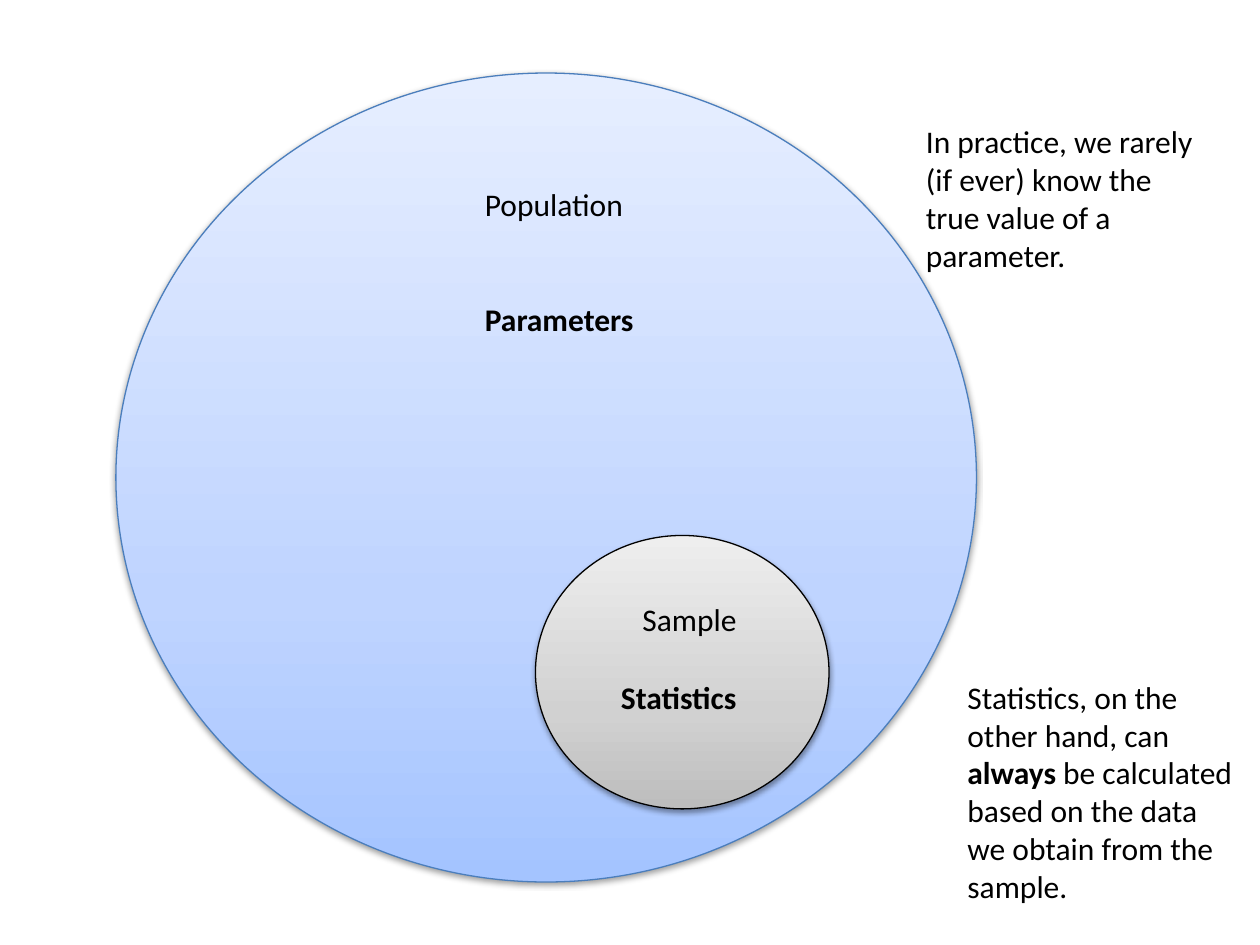
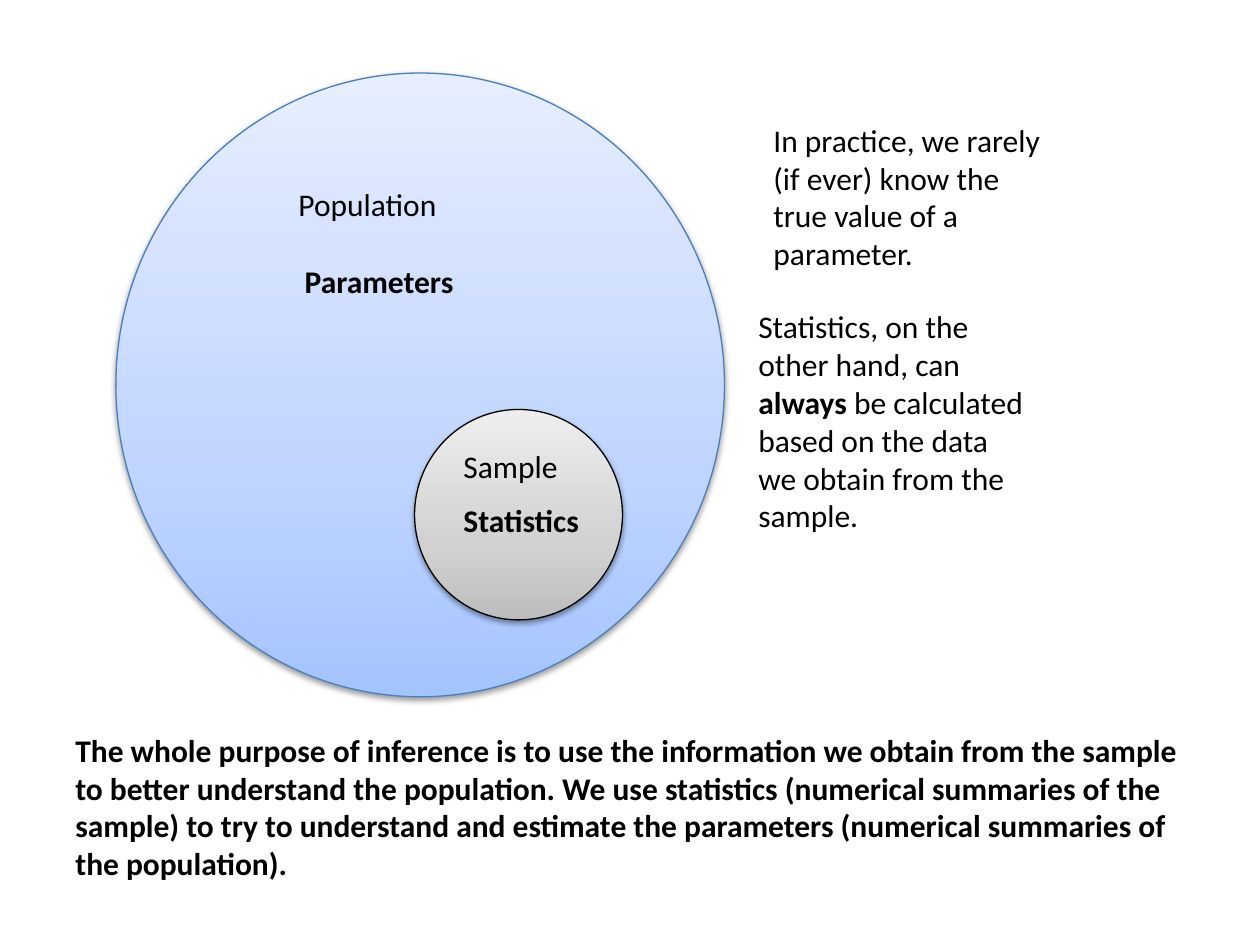
from dataclasses import dataclass

from lxml import etree
from pptx import Presentation
from pptx.dml.color import RGBColor as Rgb
from pptx.enum.shapes import MSO_SHAPE as Shape
from pptx.enum.text import MSO_AUTO_SIZE as Fit
from pptx.util import Inches, Pt

NS = "http://schemas.openxmlformats.org/drawingml/2006/main"


@dataclass(frozen=True)
class Theme:
    font: str = "Calibri"
    size: int = 18
    ink: str = "000000"
    edge: float = 0.75
    # Gradient stops run from the foot of the shape to its top
    blue: tuple = ((0, "A4C4FF"), (35, "BFD4FF"), (100, "E6EEFF"))
    blue_line: str = "4B7EBC"
    gray: tuple = ((0, "BDBDBD"), (35, "D1D1D1"), (100, "EEEEEE"))


T = Theme()

RARELY = [("In practice, we rarely (if ever) know the true value of a parameter.", False)]
ALWAYS = [
    ("Statistics, on the other hand, can ", False),
    ("always", True),
    (" be calculated based on the data we obtain from the sample.", False),
]
PURPOSE = [(
    "The whole purpose of inference is to use the information we obtain from the "
    "sample to better understand the population. We use statistics (numerical "
    "summaries of the sample) to try to understand and estimate the parameters "
    "(numerical summaries of the population).", True)]


def inside(box, part):
    """Turn a part's place within a box into a place on the slide."""
    return (box[0] + part[0], box[1] + part[1], *part[2:])


def add_text(slide, box, runs):
    frame = slide.shapes.add_textbox(*map(Inches, box)).text_frame
    for key, value in {"word_wrap": True, "auto_size": Fit.SHAPE_TO_FIT_TEXT}.items():
        setattr(frame, key, value)
    para = frame.paragraphs[0]
    for words, bold in runs:
        run = para.add_run()
        run.text = words
        for key, value in {"name": T.font, "size": Pt(T.size), "bold": bold}.items():
            setattr(run.font, key, value)
        run.font.color.rgb = Rgb.from_string(T.ink)


def add_disc(slide, box, stops, edge):
    disc = slide.shapes.add_shape(Shape.OVAL, *map(Inches, box))
    props = disc.element.spPr
    # Vertical gradient
    marks = "".join(f'<a:gs pos="{at * 1000}"><a:srgbClr val="{tone}"/></a:gs>'
                    for at, tone in stops)
    props.append(etree.fromstring(
        f'<a:gradFill xmlns:a="{NS}" rotWithShape="1"><a:gsLst>{marks}</a:gsLst>'
        '<a:lin ang="16200000" scaled="0"/></a:gradFill>'))
    disc.line.color.rgb = Rgb.from_string(edge)
    disc.line.width = Pt(T.edge)
    # Soft shadow below
    props.append(etree.fromstring(
        f'<a:effectLst xmlns:a="{NS}"><a:outerShdw blurRad="{Pt(3.1)}" '
        f'dist="{Pt(1.6)}" dir="5400000" rotWithShape="0"><a:srgbClr val="{T.ink}">'
        '<a:alpha val="38000"/></a:srgbClr></a:outerShdw></a:effectLst>'))


def add_group(slide, box, tones, labels):
    """A disc with its plain name and the bold name of its measures."""
    add_disc(slide, box, *tones)
    for word, (part, bold) in labels.items():
        add_text(slide, inside(box, part), [(word, bold)])


def add_scene(deck, whole, names, sample, marks, notes):
    """A population disc that holds a sample disc, with notes around it."""
    slide = deck.slides.add_slide(deck.slide_layouts[6])
    # Population
    add_group(slide, whole, (T.blue, T.blue_line), {
        "Population": (names[0], False), "Parameters": (names[1], True)})
    # Sample
    add_group(slide, inside(whole, sample), (T.gray, T.ink), {
        "Sample": (marks[0], False), "Statistics": (marks[1], True)})
    # Notes
    for box, runs in notes:
        add_text(slide, box, runs)


def main():
    deck = Presentation()
    for key, value in {"slide_width": 10, "slide_height": 7.5}.items():
        setattr(deck, key, Inches(value))

    # Parameters and statistics
    add_scene(
        deck, whole=(0.92, 0.58, 6.83, 6.42),
        names=[(2.83, 0.84, 1.5, 0.4), (2.83, 1.75, 1.5, 0.4)],
        sample=(3.33, 3.67, 2.33, 2.17),
        marks=[(0.75, 0.46, 1, 0.4), (0.58, 1.08, 1.5, 0.4)],
        notes=[((7.25, 0.92, 2.42, 1.31), RARELY),
               ((7.58, 5.33, 2.33, 1.92), ALWAYS)])

    # Purpose of inference
    add_scene(
        deck, whole=(0.92, 0.58, 4.83, 4.95),
        names=[(1.35, 0.84, 2.14, 0.4), (1.4, 1.45, 1.83, 0.4)],
        sample=(2.37, 2.67, 1.65, 1.67),
        marks=[(0.29, 0.25, 1.41, 0.4), (0.29, 0.68, 1.36, 0.4)],
        notes=[((6.04, 0.91, 2.42, 1.31), RARELY),
               ((5.92, 2.39, 2.33, 1.92), ALWAYS),
               ((0.5, 5.75, 9, 1.31), PURPOSE)])

    deck.save("out.pptx")


if __name__ == "__main__":
    main()
